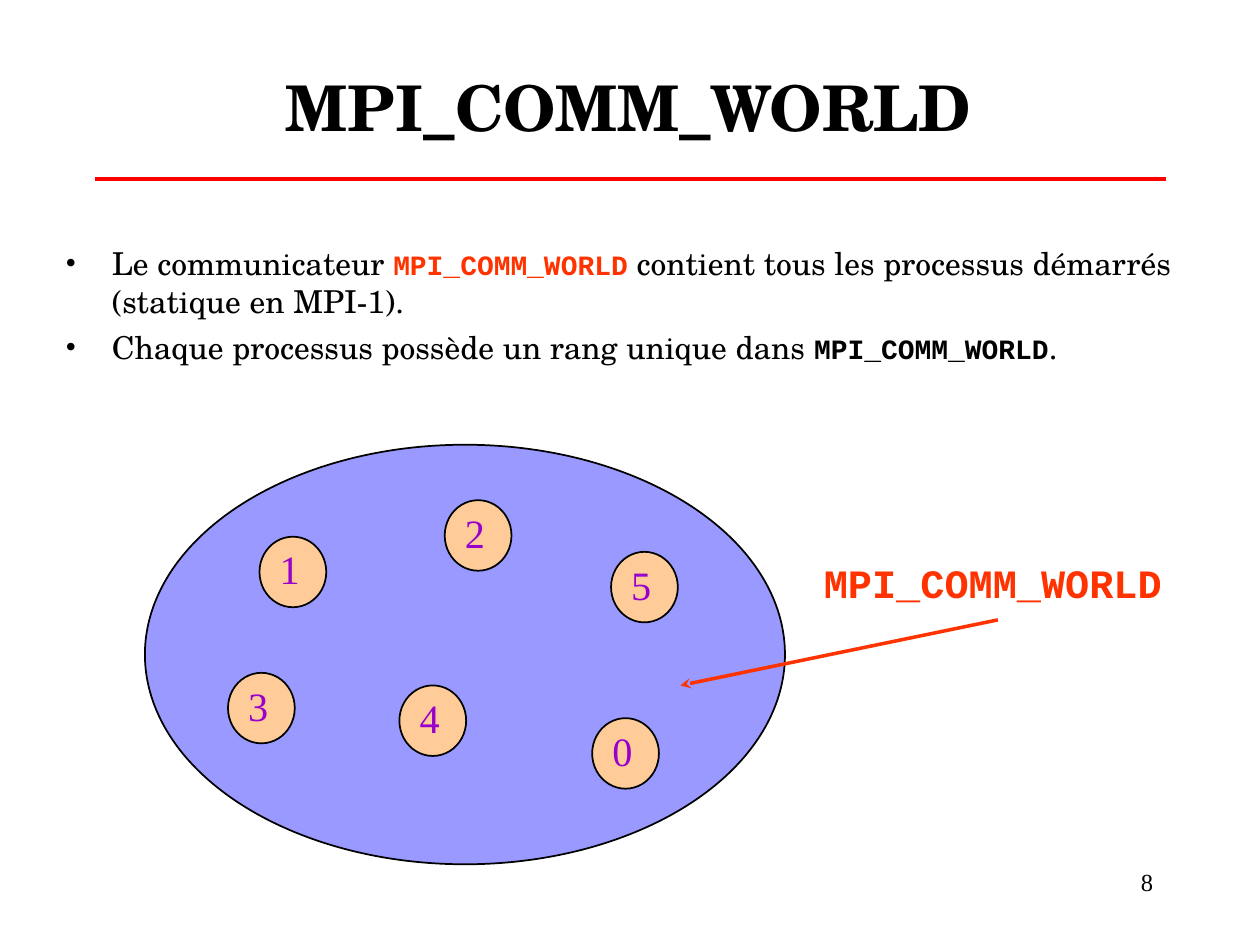
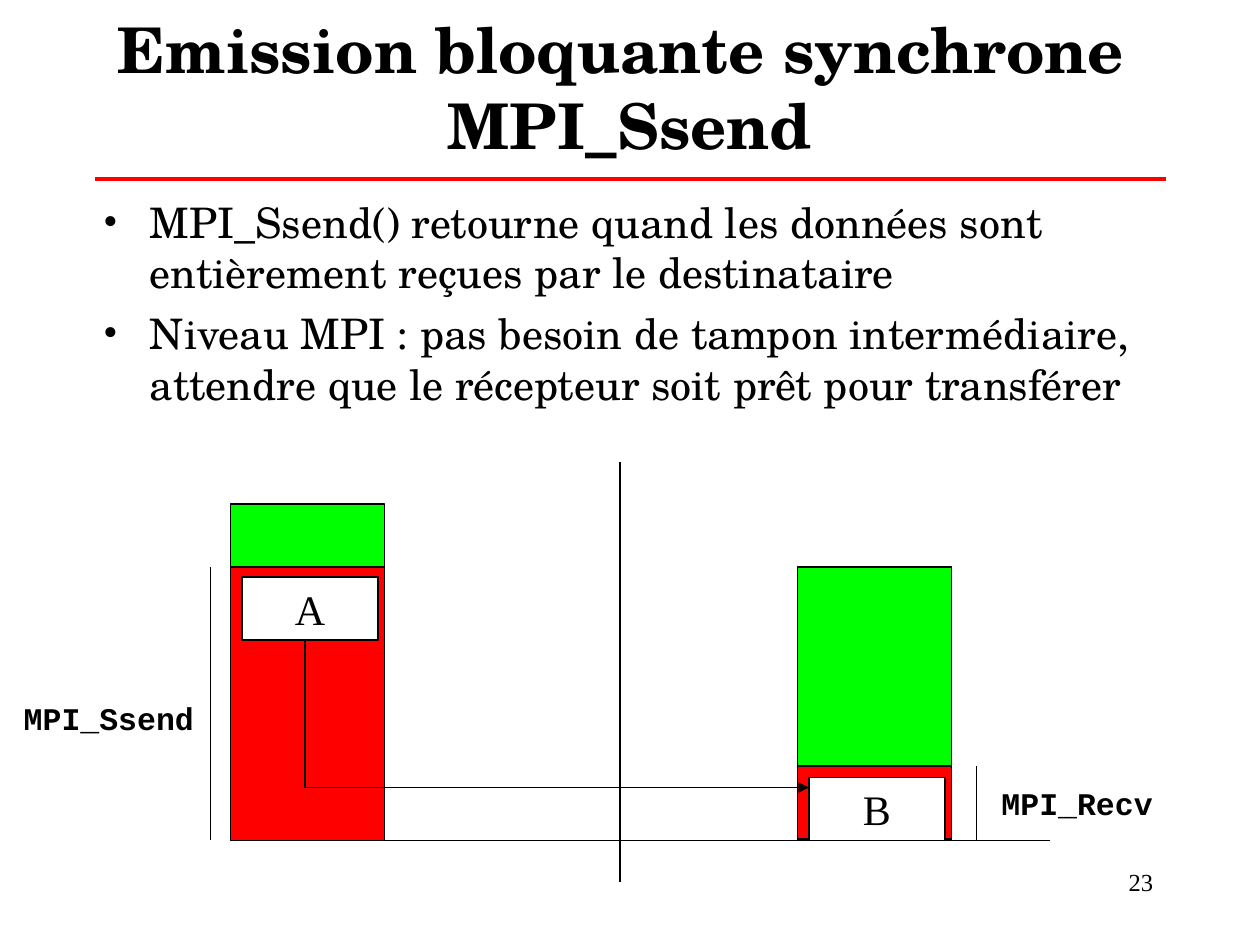
"""Build two slides on MPI: the world communicator and the synchronous send."""
from lxml import etree
from pptx import Presentation
from pptx.dml.color import RGBColor
from pptx.enum.shapes import MSO_CONNECTOR, MSO_SHAPE
from pptx.enum.text import MSO_ANCHOR, PP_ALIGN
from pptx.oxml.ns import qn
from pptx.util import Inches, Pt

LEFT, CENTER, RIGHT = PP_ALIGN.LEFT, PP_ALIGN.CENTER, PP_ALIGN.RIGHT
TOP, MIDDLE = MSO_ANCHOR.TOP, MSO_ANCHOR.MIDDLE
RECT, OVAL = MSO_SHAPE.RECTANGLE, MSO_SHAPE.OVAL
STRAIGHT = MSO_CONNECTOR.STRAIGHT
color = RGBColor.from_string

SERIF, CODE, TIMES = "TeX Gyre Schola", "Courier New", "Times New Roman"
BLACK, WHITE, RED, GREEN = "000000", "FFFFFF", "FF0000", "00FF00"
ORANGE, BLUE, PEACH, PURPLE = "FF3300", "9999FF", "FFCC99", "9900CC"


def write(frame, words, size, font, ink=BLACK, bold=False, align=LEFT, anchor=TOP):
    frame.text = words
    frame.word_wrap = True
    frame.vertical_anchor = anchor
    para = frame.paragraphs[0]
    para.alignment = align
    for run in para.runs:
        run.font.size = Pt(size)
        run.font.name = font
        run.font.bold = bold
        run.font.color.rgb = color(ink)


def draw(slide, ends, ink=BLACK, width=0.75, head=None):
    line = slide.shapes.add_connector(STRAIGHT, *map(Inches, ends))
    line.line.color.rgb = color(ink)
    line.line.width = Pt(width)
    props = line._element.spPr
    if head:
        etree.SubElement(props.find(qn("a:ln")), qn("a:tailEnd"), type=head)
    etree.SubElement(props, qn("a:effectLst"))


WORLD = "MPI_COMM_WORLD"
pages = [
    dict(title=WORLD, head=(0.74, 0.22, 8.5, 1.25), body=(0.42, 1.89, 9.21, 1.43),
         size=18, gap=4.5, num="8",
         points=[["Le communicateur ", (WORLD, ORANGE),
                  " contient tous les processus démarrés (statique en MPI-1)."],
                 ["Chaque processus possède un rang unique dans ", (WORLD, BLACK), "."]]),
    dict(title="Emission bloquante synchrone \vMPI_Ssend",
         head=(0.75, -0.05, 8.5, 1.47), body=(0.72, 1.51, 8.71, 2),
         size=24, gap=6, num="23",
         points=[["MPI_Ssend() retourne quand les données sont entièrement reçues "
                  "par le destinataire"],
                 ["Niveau MPI : pas besoin de tampon intermédiaire, attendre que le "
                  "récepteur soit prêt pour transférer"]]),
]

deck = Presentation()
deck.slide_width, deck.slide_height = Inches(10), Inches(7.5)

slides = []
for page in pages:
    slide = deck.slides.add_slide(deck.slide_layouts[6])
    slides.append(slide)
    draw(slide, (0.75, 1.42, 9.25, 1.42), RED, 2.25)
    box = slide.shapes.add_textbox(*map(Inches, page["head"]))
    write(box.text_frame, page["title"], 36, SERIF, BLACK, True, CENTER, MIDDLE)
    box = slide.shapes.add_textbox(*map(Inches, (7.17, 6.83, 2.08, 0.5)))
    write(box.text_frame, page["num"], 14, TIMES, align=RIGHT)

    frame = slide.shapes.add_textbox(*map(Inches, page["body"])).text_frame
    frame.word_wrap = True
    for i, point in enumerate(page["points"]):
        para = frame.add_paragraph() if i else frame.paragraphs[0]
        props = para._p.get_or_add_pPr()
        props.set("marL", str(Inches(0.37)))
        props.set("indent", str(Inches(-0.37)))
        etree.SubElement(props, qn("a:buFont"), typeface=TIMES)
        etree.SubElement(props, qn("a:buChar"), char="•")
        if i:
            para.space_before = Pt(page["gap"])
        for part in point:
            code = isinstance(part, tuple)
            words, ink = part if code else (part, BLACK)
            run = para.add_run()
            run.text = words
            run.font.name = CODE if code else SERIF
            run.font.size = Pt(16 if code else page["size"])
            run.font.bold = code
            run.font.color.rgb = color(ink)

world, send = slides

ovals = [("", 1.15, 3.53, 5.08, 3.33, BLUE)]
for rank, x, y in [("1", 2.06, 4.26), ("2", 3.53, 3.97), ("3", 1.81, 5.34),
                   ("4", 3.17, 5.44), ("5", 4.85, 4.38), ("0", 4.7, 5.7)]:
    ovals.append((rank, x, y, 0.53, 0.56, PEACH))
for rank, *at, tint in ovals:
    oval = world.shapes.add_shape(OVAL, *map(Inches, at))
    oval.shadow.inherit = False
    oval.fill.solid()
    oval.fill.fore_color.rgb = color(tint)
    oval.line.color.rgb = color(BLACK)
    oval.line.width = Pt(1)
    if rank:
        frame = oval.text_frame
        write(frame, rank, 23, TIMES, PURPLE, False, CENTER, MIDDLE)
        frame.word_wrap = False
        frame.margin_left = frame.margin_top = 0
        frame.margin_right = frame.margin_bottom = Inches(0.05)
draw(world, (7.92, 4.92, 5.4, 5.44), ORANGE, 2, "stealth")

bars = [
    ("", 6.33, 4.5, 1.22, 2.17, GREEN),
    ("", 1.83, 4, 1.22, 2.17, GREEN),
    ("", 1.83, 4.5, 1.22, 2.17, RED),
    ("A", 1.92, 4.58, 1.08, 0.5, WHITE),
    ("", 6.33, 6.08, 1.22, 0.58, RED),
    ("B", 6.42, 6.17, 1.08, 0.5, WHITE),
]
for name, *at, tint in bars:
    bar = send.shapes.add_shape(RECT, *map(Inches, at))
    bar.shadow.inherit = False
    bar.fill.solid()
    bar.fill.fore_color.rgb = color(tint)
    bar.line.color.rgb = color(BLACK)
    bar.line.width = Pt(0.75)
    if name:
        write(bar.text_frame, name, 24, TIMES, BLACK, False, CENTER, MIDDLE)

for ends in [(2.75, 6.67, 8.33, 6.67), (4.92, 3.67, 4.92, 7), (1.67, 4.5, 1.67, 6.67),
             (7.75, 6.08, 7.75, 6.67), (2.42, 5.08, 2.42, 6.25)]:
    draw(send, ends)
draw(send, (2.42, 6.25, 6.42, 6.25), head="triangle")

for slide, words, at, size, ink in [
    (world, WORLD, (6.44, 4.38, 3, 0.46), 23, ORANGE),
    (send, "MPI_Ssend", (0.09, 5.5, 1.6, 0.44), 18, BLACK),
    (send, "MPI_Recv", (7.85, 6.17, 1.5, 0.44), 18, BLACK),
]:
    box = slide.shapes.add_textbox(*map(Inches, at))
    write(box.text_frame, words, size, CODE, ink, True)

deck.save("out.pptx")
